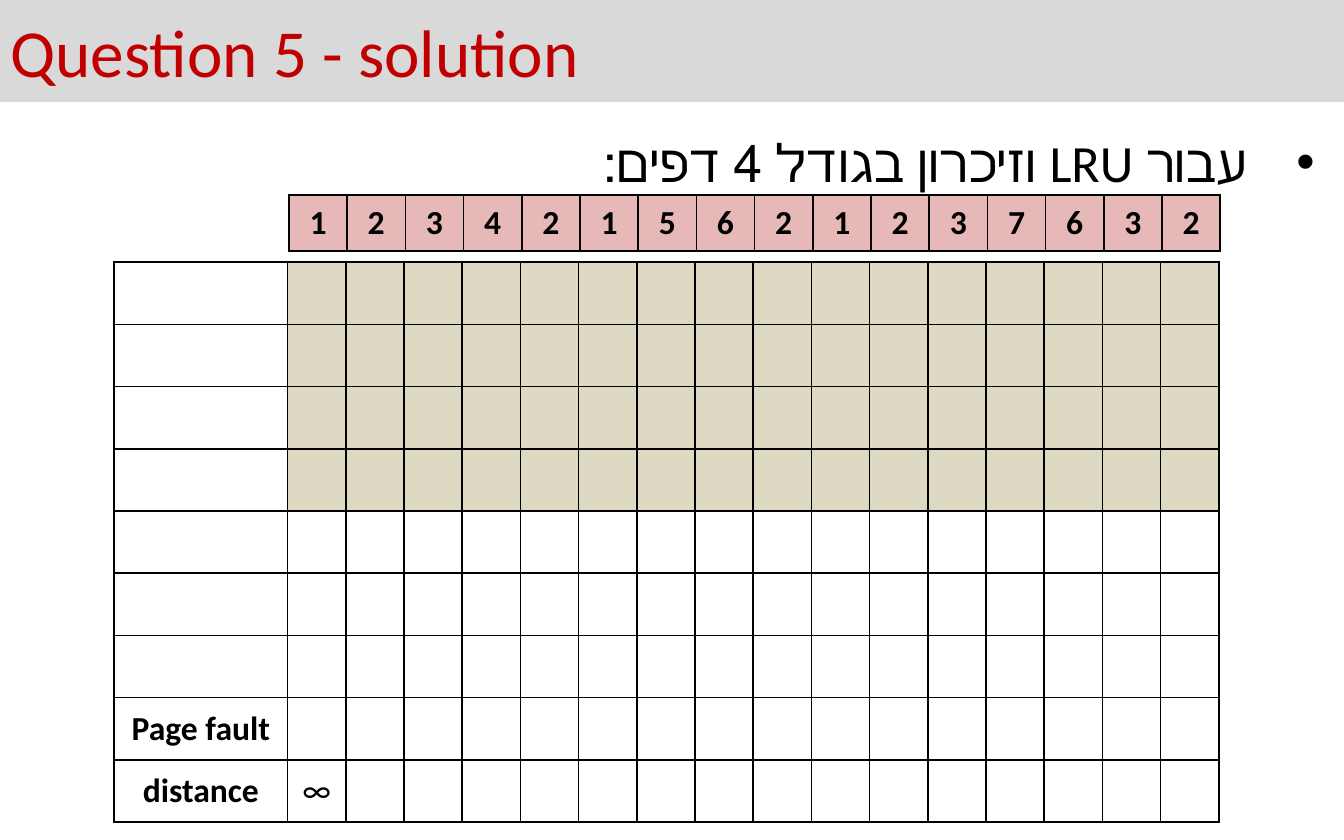
from lxml import etree
from pptx import Presentation, util as u
from pptx.dml.color import RGBColor
from pptx.enum import shapes, text
from pptx.oxml.ns import qn

REFERENCES = "1234215621237632"
PAGES = len(REFERENCES)
PAGE_WIDTH = 6.93 / PAGES
FRAMES = 4
ROWS = 9
LABELS = {(7, 0): "Page fault", (8, 0): "distance", (8, 1): "∞"}


def color(value):
    return RGBColor.from_string(value)


def add_run(p, content, size, value="000000", bold=False):
    r = p.add_run()
    r.text = content
    r.font.name = "Calibri"
    r.font.size = u.Pt(size)
    r.font.bold = bold
    r.font.color.rgb = color(value)


def add_title(s, content):
    sp = s.shapes.add_shape(shapes.MSO_SHAPE.RECTANGLE, u.Inches(-0.02), 0,
                            u.Inches(10.02), u.Inches(0.76))
    sp.shadow.inherit = False
    sp.fill.solid()
    sp.fill.fore_color.rgb = color("D9D9D9")
    sp.line.fill.background()
    tf = sp.text_frame
    tf.vertical_anchor = text.MSO_ANCHOR.MIDDLE
    p = tf.paragraphs[0]
    p.alignment = text.PP_ALIGN.JUSTIFY
    add_run(p, content, 36, "C00000")


def add_hebrew_bullet(s, content):
    sp = s.shapes.add_textbox(u.Inches(0.12), u.Inches(0.92), u.Inches(9.76), u.Inches(5.2))
    tf = sp.text_frame
    tf.word_wrap = True
    p = tf.paragraphs[0]
    p.alignment = text.PP_ALIGN.RIGHT
    pPr = p._p.get_or_add_pPr()
    pPr.set("rtl", "1")
    pPr.set("marR", "0")
    pPr.set("marL", str(u.Inches(0.5)))
    pPr.set("indent", str(u.Inches(-0.5)))
    etree.SubElement(pPr, qn("a:buFont"), typeface="Arial")
    etree.SubElement(pPr, qn("a:buChar"), char="•")
    add_run(p, content, 28)


def set_borders(cell):
    tcPr = cell._tc.get_or_add_tcPr()
    for i, side in enumerate(("lnL", "lnR", "lnT", "lnB")):
        ln = etree.Element(qn("a:" + side), w=str(u.Pt(1)))
        fill = etree.SubElement(ln, qn("a:solidFill"))
        etree.SubElement(fill, qn("a:srgbClr"), val="000000")
        tcPr.insert(i, ln)


def style_cell(cell, content, fill):
    cell.margin_left = cell.margin_right = u.Inches(0.07)
    cell.margin_top = cell.margin_bottom = 0
    cell.vertical_anchor = text.MSO_ANCHOR.MIDDLE
    if fill:
        cell.fill.solid()
        cell.fill.fore_color.rgb = color(fill)
    else:
        cell.fill.background()
    set_borders(cell)
    p = cell.text_frame.paragraphs[0]
    p.alignment = text.PP_ALIGN.CENTER
    if content:
        add_run(p, content, 18, bold=content != "∞")


def add_grid(s, left, top, widths, height, rows, content_at, fill_at):
    table = s.shapes.add_table(rows, len(widths), u.Inches(left), u.Inches(top),
                               u.Inches(sum(widths)), u.Inches(height)).table
    table.first_row = table.horz_banding = False
    for column, width in zip(table.columns, widths):
        column.width = u.Inches(width)
    for i in range(rows):
        for j in range(len(widths)):
            style_cell(table.cell(i, j), content_at(i, j), fill_at(i, j))


def main():
    prs = Presentation()
    prs.slide_width, prs.slide_height = u.Inches(10), u.Inches(6.25)
    s = prs.slides.add_slide(prs.slide_layouts[6])
    add_title(s, "Question 5 - solution")
    add_hebrew_bullet(s, "עבור LRU וזיכרון בגודל 4 דפים:")
    page_widths = [PAGE_WIDTH] * PAGES
    add_grid(s, 0.85, 1.95, [1.29] + page_widths, 4.17, ROWS,
             lambda i, j: LABELS.get((i, j)),
             lambda i, j: "DDD9C3" if i < FRAMES and j > 0 else None)
    add_grid(s, 2.15, 1.45, page_widths, 0.42, 1,
             lambda i, j: REFERENCES[j], lambda i, j: "E6B9B8")
    prs.save("out.pptx")


if __name__ == "__main__":
    main()
